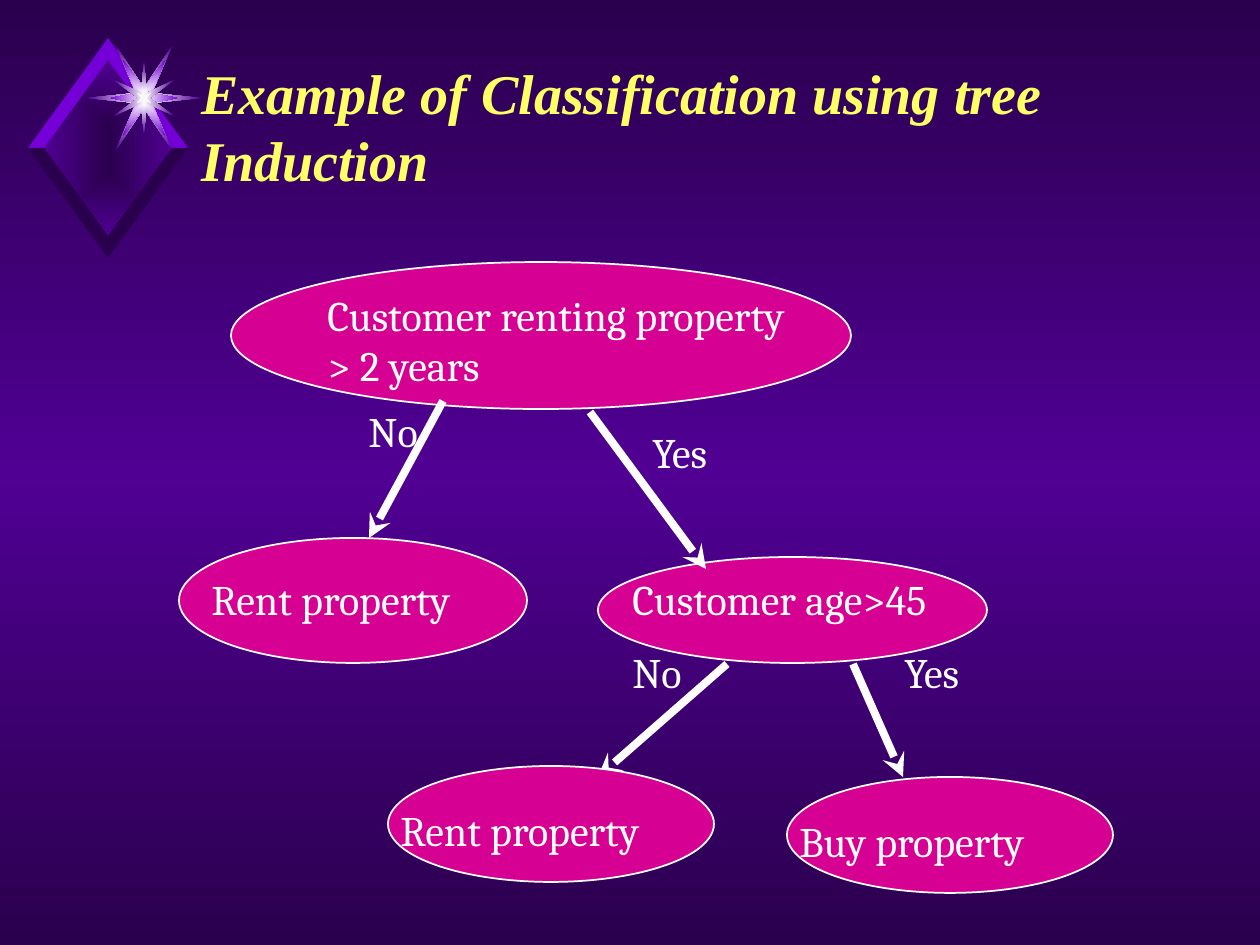
import pptx
import pptx.dml.color
import pptx.enum.shapes
import pptx.enum.text
import pptx.oxml
import pptx.oxml.ns
import pptx.util

EMU_PER_PX = 914400 / 126
COLORS = {
    "night": "2A004E",
    "violet": "500093",
    "bright": "7500D7",
    "pink": "D60093",
    "white": "FFFFFF",
    "pearl": "F9F9F9",
    "yellow": "FFFF66",
}
LINEAR = '<a:lin ang="5400000" scaled="0"/>'
CENTRED = '<a:path path="rect"><a:fillToRect l="50000" t="50000" r="50000" b="50000"/></a:path>'


def px(length):
    return pptx.util.Emu(round(length * EMU_PER_PX))


def rgb(name):
    return pptx.dml.color.RGBColor.from_string(COLORS[name])


def drawing_xml(tag, content="", attributes=""):
    namespace = pptx.oxml.ns.nsdecls("a")
    return pptx.oxml.parse_xml(f"<a:{tag} {namespace} {attributes}>{content}</a:{tag}>")


def set_gradient(fill, parent, names, direction):
    fill.gradient()
    placed = next(parent.iter(pptx.oxml.ns.qn("a:gradFill")))
    stops = "".join(
        f'<a:gs pos="{100000 * index // (len(names) - 1)}"><a:srgbClr val="{COLORS[name]}"/></a:gs>'
        for index, name in enumerate(names)
    )
    gradient = drawing_xml("gradFill", f"<a:gsLst>{stops}</a:gsLst>{direction}", 'rotWithShape="1"')
    placed.getparent().replace(placed, gradient)


def add_outline(shapes, points, colors):
    builder = shapes.build_freeform(*points[0], scale=EMU_PER_PX)
    builder.add_line_segments(points[1:], close=True)
    shape = builder.convert_to_shape()
    shape.shadow.inherit = False
    shape.line.fill.background()
    if len(colors) == 1:
        shape.fill.solid()
        shape.fill.fore_color.rgb = rgb(colors[0])
    else:
        set_gradient(shape.fill, shape._element.spPr, colors, CENTRED)


def add_star(shapes, quarter, colors):
    center_x, center_y = 144, 98
    points = []
    for x_sign, y_sign in ((1, -1), (-1, -1), (-1, 1), (1, 1)):
        ordered = quarter if x_sign * y_sign < 0 else quarter[::-1]
        points += [(center_x + x_sign * x, center_y + y_sign * y) for x, y in ordered[:-1]]
    add_outline(shapes, points, colors)


def add_emblem(page):
    shapes = page.shapes.add_group_shape().shapes
    center_x, center_y = 108, 148
    core = [(108, 59), (43, 148), (108, 238), (174, 148)]
    add_outline(shapes, core, ["night", "violet"])
    for y_sign, color in ((-1, "bright"), (1, "night")):
        for x_sign in (1, -1):
            facet = [(0, 88), (0, 110), (80, 0), (64, 0)]
            points = [(center_x + x_sign * x, center_y + y_sign * y) for x, y in facet]
            add_outline(shapes, points, [color])
    add_star(shapes, [(57, 0), (8, 5), (28, 52), (0, 10)], ["white", "violet"])
    add_star(shapes, [(34, 0), (8, 5), (21, 38), (0, 10)], ["white", "bright"])
    add_star(shapes, [(6, 0), (30, 18), (3, 5), (0, 36)], ["white", "violet"])
    add_star(shapes, [(3, 0), (7, 5), (1, 3), (0, 9)], ["pearl"])


def add_text(page, text, left, top, width, height=63, *, size=24, font="Cambria",
             color="white", emphasis=False, wrap=True):
    box = page.shapes.add_textbox(px(left), px(top), px(width), px(height))
    frame = box.text_frame
    frame.word_wrap = wrap
    frame.vertical_anchor = pptx.enum.text.MSO_ANCHOR.TOP
    frame.text = text
    for para in frame.paragraphs:
        for span in para.runs:
            span.font.size = pptx.util.Pt(size)
            span.font.name = font
            span.font.bold = emphasis
            span.font.italic = emphasis
            span.font.color.rgb = rgb(color)


def add_node(page, left, top, width, height):
    node = page.shapes.add_shape(
        pptx.enum.shapes.MSO_SHAPE.OVAL, px(left), px(top), px(width), px(height)
    )
    node.shadow.inherit = False
    node.fill.solid()
    node.fill.fore_color.rgb = rgb("pink")
    node.line.color.rgb = rgb("white")
    node.line.width = pptx.util.Pt(1)


def add_arrow(page, *ends):
    arrow = page.shapes.add_connector(
        pptx.enum.shapes.MSO_CONNECTOR.STRAIGHT, *(px(end) for end in ends)
    )
    arrow.line.color.rgb = rgb("white")
    arrow.line.width = pptx.util.Pt(4.5)
    arrow.line._get_or_add_ln().append(drawing_xml("tailEnd", attributes='type="stealth"'))
    arrow._element.spPr.append(drawing_xml("effectLst"))


def main():
    deck = pptx.Presentation()
    deck.slide_width, deck.slide_height = px(1260), px(945)
    page = deck.slides.add_slide(deck.slide_layouts[6])
    set_gradient(page.background.fill, page._element, ["night", "violet", "night"], LINEAR)
    add_emblem(page)

    for node in ((231, 262, 620, 147), (179, 538, 348, 125), (598, 557, 389, 106)):
        add_node(page, *node)
    add_text(page, "Customer renting property\n> 2 years", 315, 283, 581, 113)
    add_text(page, "Rent property", 199, 567, 306)
    add_text(page, "Customer age>45", 620, 567, 420)

    for arrow in ((443, 401, 369, 538), (590, 412, 706, 569),
                  (727, 664, 598, 777), (853, 664, 903, 777)):
        add_arrow(page, *arrow)
    for answer, left, top in (("No", 356, 399), ("Yes", 640, 420),
                              ("No", 620, 640), ("Yes", 892, 640)):
        add_text(page, answer, left, top, 93, wrap=False)

    for outcome, left, top in (("Rent property", 388, 766), ("Buy property", 787, 777)):
        add_node(page, left, top, 326, 116)
        add_text(page, outcome, left, top + 32, 306)

    add_text(page, "Example of Classification using tree Induction", 189, 52, 976, 176,
             size=32, font="Times New Roman", color="yellow", emphasis=True)
    deck.save("out.pptx")


if __name__ == "__main__":
    main()
